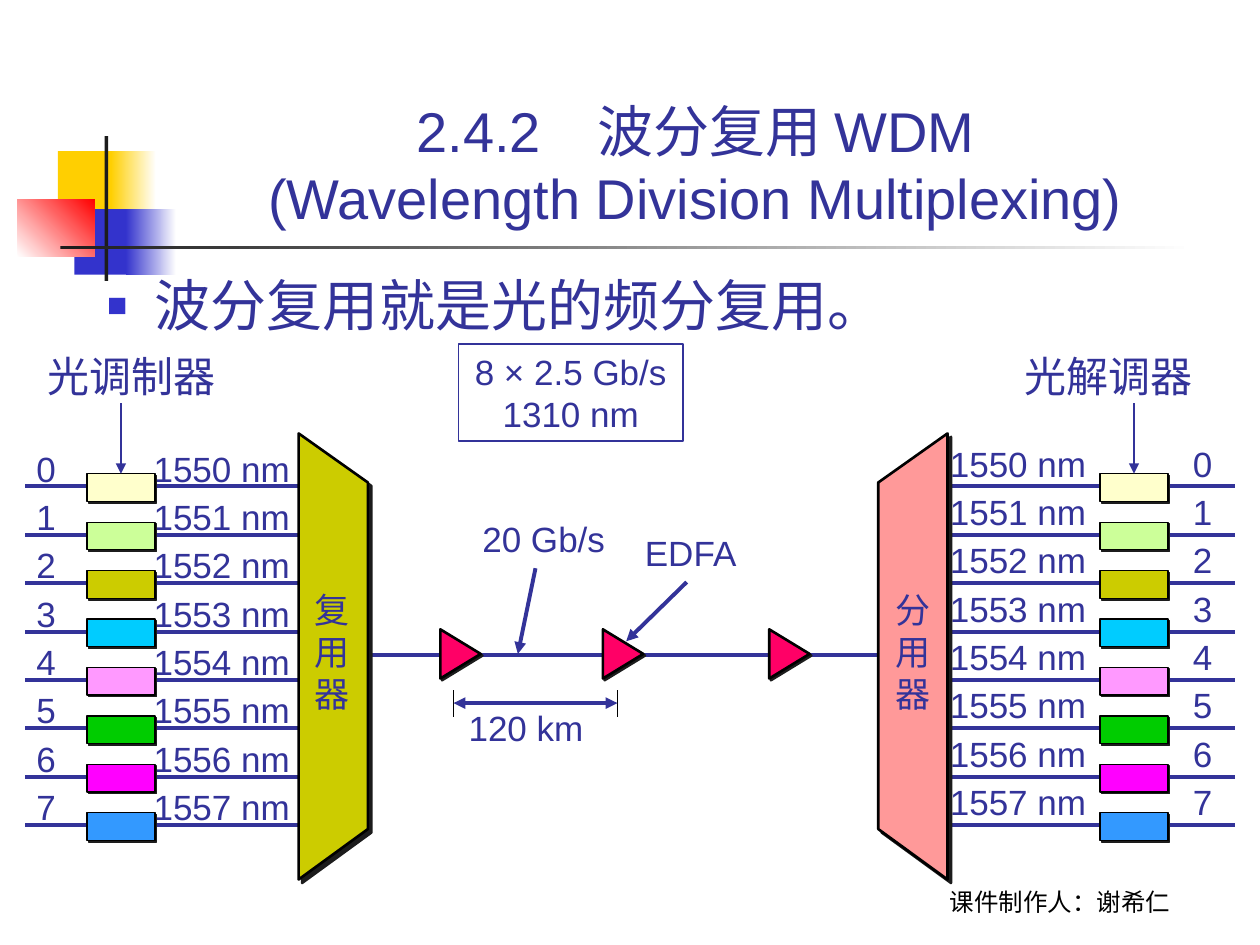
"""Build the slide on wavelength division multiplexing."""
from dataclasses import dataclass

from lxml.etree import SubElement
from pptx import Presentation
from pptx.dml.color import RGBColor
from pptx.enum.shapes import MSO_CONNECTOR, MSO_SHAPE
from pptx.enum.text import MSO_ANCHOR, MSO_AUTO_SIZE, PP_ALIGN
from pptx.oxml.ns import qn
from pptx.util import Inches, Pt


@dataclass(frozen=True)
class Theme:
    ink: str = "333399"
    black: str = "000000"
    dark: str = "1C1C1C"
    white: str = "FFFFFF"
    yellow: str = "FFCF01"
    blue: str = "3333CC"
    red: str = "FF0000"
    amplifier: str = "FF0066"
    multiplexer: str = "CCCC00"
    demultiplexer: str = "FF9999"
    channels: tuple = ("FFFFCC", "CCFF99", "CCCC00", "00CCFF",
                       "FF99FF", "00CC00", "FF00FF", "3399FF")
    heading: int = 32
    caption: int = 24
    label: int = 20
    credit: int = 14
    font: str = "Arial"
    caption_font: str = "Cabin"
    column_font: str = "Times New Roman"


theme = Theme()
presentation = Presentation()
presentation.slide_width = Inches(10)
presentation.slide_height = Inches(7.5)
slide = presentation.slides.add_slide(presentation.slide_layouts[1])
shapes = slide.shapes


def write_text(shape, lines, size=theme.label, font=theme.font, color=theme.ink,
               anchor=MSO_ANCHOR.TOP, **paragraph_format):
    frame = shape.text_frame
    frame_format = {"word_wrap": True, "auto_size": MSO_AUTO_SIZE.NONE, "vertical_anchor": anchor}
    for name, value in frame_format.items():
        setattr(frame, name, value)
    frame.text = "\n".join(lines)
    for paragraph in frame.paragraphs:
        for name, value in paragraph_format.items():
            setattr(paragraph, name, value)
        for run in paragraph.runs:
            for name, value in {"name": font, "size": Pt(size)}.items():
                setattr(run.font, name, value)
            run.font.color.rgb = RGBColor.from_string(color)
    return frame


def draw_line(start, end, width=2.25, color=theme.ink, arrows=()):
    points = [Inches(value) for value in (*start, *end)]
    connector = shapes.add_connector(MSO_CONNECTOR.STRAIGHT, *points)
    connector.line.width = Pt(width)
    connector.line.color.rgb = RGBColor.from_string(color)
    for arrow in arrows:
        SubElement(connector.line._get_or_add_ln(), qn(f"a:{arrow}"), type="triangle")
    SubElement(connector._element.spPr, qn("a:effectLst"))
    return connector


title, body = shapes.title, slide.placeholders[1]
for placeholder, box in ((title, (1.26, 0.28, 8.52, 1.6)), (body, (0.75, 2.1, 9.06, 4.5))):
    for name, value in zip(("left", "top", "width", "height"), box):
        setattr(placeholder, name, Inches(value))
write_text(title, ["2.4.2　波分复用 WDM\v(Wavelength Division Multiplexing)"],
           theme.heading, anchor=MSO_ANCHOR.BOTTOM, alignment=PP_ALIGN.CENTER)
body_frame = write_text(body, ["波分复用就是光的频分复用。"], theme.heading, space_before=Pt(8))
properties = body_frame.paragraphs[0]._p.get_or_add_pPr()
for name, value in {"marL": Inches(0.38), "indent": -Inches(0.38)}.items():
    properties.set(name, str(value))
SubElement(SubElement(properties, qn("a:buClr")), qn("a:srgbClr"), val=theme.blue)
SubElement(properties, qn("a:buSzPct"), val="60000")
SubElement(properties, qn("a:buFont"), typeface=theme.font)
SubElement(properties, qn("a:buChar"), char="■")

decorations = [
    ((0.46, 1.2, 0.48, 0.52), (theme.yellow,), 0),
    ((0.88, 1.2, 0.36, 0.52), (theme.yellow, theme.white), 0),
    ((0.59, 1.66, 0.46, 0.52), (theme.blue,), 0),
    ((1, 1.66, 0.4, 0.52), (theme.blue, theme.white), 0),
    ((0.14, 1.58, 0.61, 0.46), (theme.white, theme.red), 45),
    ((0.83, 1.08, 0.03, 1.15), (theme.dark,), 0),
    ((0.48, 1.95, 9, 0.03), (theme.dark, theme.white), 0),
]
for box, colors, angle in decorations:
    shape = shapes.add_shape(MSO_SHAPE.RECTANGLE, *map(Inches, box))
    shape.shadow.inherit = False
    shape.line.fill.background()
    if len(colors) == 1:
        shape.fill.solid()
        shape.fill.fore_color.rgb = RGBColor.from_string(colors[0])
    else:
        shape.fill.gradient()
        shape.fill.gradient_angle = angle
        for stop, color in zip(shape.fill.gradient_stops, colors):
            stop.color.rgb = RGBColor.from_string(color)

channel_count = len(theme.channels)
row_pitch = (6.55 - 3.86) / (channel_count - 1)
row_heights = [3.86 + row_pitch * row for row in range(channel_count)]
numbers = [str(row) for row in range(channel_count)]
wavelengths = [f"{1550 + row} nm" for row in range(channel_count)]
channel_sides = [
    ((7.44, 3.41, 2.44, 3.17), zip(wavelengths, numbers), 1.93),
    ((0.19, 3.45, 2.52, 3.17), zip(numbers, wavelengths), 0.93),
]
for box, columns, tab_position in channel_sides:
    text_box = shapes.add_textbox(*map(Inches, box))
    frame = write_text(text_box, ["\t".join(pair) for pair in columns], line_spacing=1.15)
    for paragraph in frame.paragraphs:
        tab_list = SubElement(paragraph._p.get_or_add_pPr(), qn("a:tabLst"))
        SubElement(tab_list, qn("a:tab"), pos=str(Inches(tab_position)), algn="l")

for left in (0.2, 7.52):
    for height in row_heights:
        draw_line((left, height), (left + 2.28, height))
draw_line((2.54, 5.2), (7.46, 5.2))

solids = []
first_boxes = []
for left in (0.69, 8.73):
    for row, (height, color) in enumerate(zip(row_heights, theme.channels)):
        box = (left, height - 0.1, 0.54, 0.22)
        shape = shapes.add_shape(MSO_SHAPE.RECTANGLE, *map(Inches, box))
        solids.append((shape, color, 0.75, 1.4))
        if row == 0:
            first_boxes.append(shape)
for left in (3.46, 4.75, 6.07):
    triangle = shapes.add_shape(MSO_SHAPE.ISOSCELES_TRIANGLE, *map(Inches, (left, 5.03, 0.39, 0.32)))
    triangle.rotation = 90
    solids.append((triangle, theme.amplifier, 1.5, 1.4))
for outer, inner, color in ((2.37, 2.92, theme.multiplexer), (7.52, 6.97, theme.demultiplexer)):
    builder = shapes.build_freeform(Inches(outer), Inches(6.98))
    corners = [(inner, 6.58), (inner, 3.83), (outer, 3.44)]
    builder.add_line_segments([(Inches(x), Inches(y)) for x, y in corners], close=True)
    solids.append((builder.convert_to_shape(), color, 1.5, 2.8))
for shape, color, line_width, distance in solids:
    shape.fill.solid()
    shape.fill.fore_color.rgb = RGBColor.from_string(color)
    shape.line.color.rgb = RGBColor.from_string(theme.black)
    shape.line.width = Pt(line_width)
    shape.shadow.inherit = False
    shadow = SubElement(shape._element.spPr.find(qn("a:effectLst")), qn("a:outerShdw"),
                        dist=str(Pt(distance)), dir="2700000", algn="ctr", rotWithShape="0")
    SubElement(shadow, qn("a:srgbClr"), val=theme.dark)

rate_box = shapes.add_shape(MSO_SHAPE.RECTANGLE, *map(Inches, (3.64, 2.73, 1.78, 0.77)))
rate_box.shadow.inherit = False
rate_box.fill.background()
rate_box.line.color.rgb = RGBColor.from_string(theme.ink)
rate_box.line.width = Pt(0.75)
write_text(rate_box, ["8 × 2.5 Gb/s", "1310 nm"], alignment=PP_ALIGN.CENTER)

caption_format = {"size": theme.caption, "font": theme.caption_font}
column_format = {"font": theme.column_font}
credit_format = {"size": theme.credit, "font": theme.caption_font, "color": theme.black,
                 "anchor": MSO_ANCHOR.BOTTOM, "alignment": PP_ALIGN.CENTER}
labels = [
    ((3.73, 4.06, 1.3, 0.44), ["20 Gb/s"], {}),
    ((5.02, 4.17, 1.1, 0.44), ["EDFA"], {}),
    ((3.62, 5.56, 1.25, 0.44), ["120 km"], {}),
    ((2.4, 4.62, 0.5, 1.1), ["复", "用", "器"], column_format),
    ((7.01, 4.62, 0.5, 1.1), ["分", "用", "器"], column_format),
    ((0.28, 2.73, 1.6, 0.5), ["光调制器"], caption_format),
    ((8.03, 2.73, 1.6, 0.5), ["光解调器"], caption_format),
    ((6.83, 6.82, 3.17, 0.5), ["课件制作人：谢希仁"], credit_format),
]
for box, lines, text_format in labels:
    write_text(shapes.add_textbox(*map(Inches, box)), lines, **text_format)

draw_line((4.25, 4.51), (4.11, 5.19), arrows=["tailEnd"])
draw_line((5.45, 4.62), (4.97, 5.09), arrows=["tailEnd"])
for x in (3.6, 4.9):
    draw_line((x, 5.48), (x, 5.69), 0.75, theme.black)
draw_line((3.6, 5.58), (4.9, 5.58), arrows=["headEnd", "tailEnd"])
for x, first_box in zip((0.96, 9), first_boxes):
    pointer = draw_line((x, 3.2), (x, 3.76), 0.75, arrows=["tailEnd"])
    pointer.end_connect(first_box, 0)

presentation.save("out.pptx")
